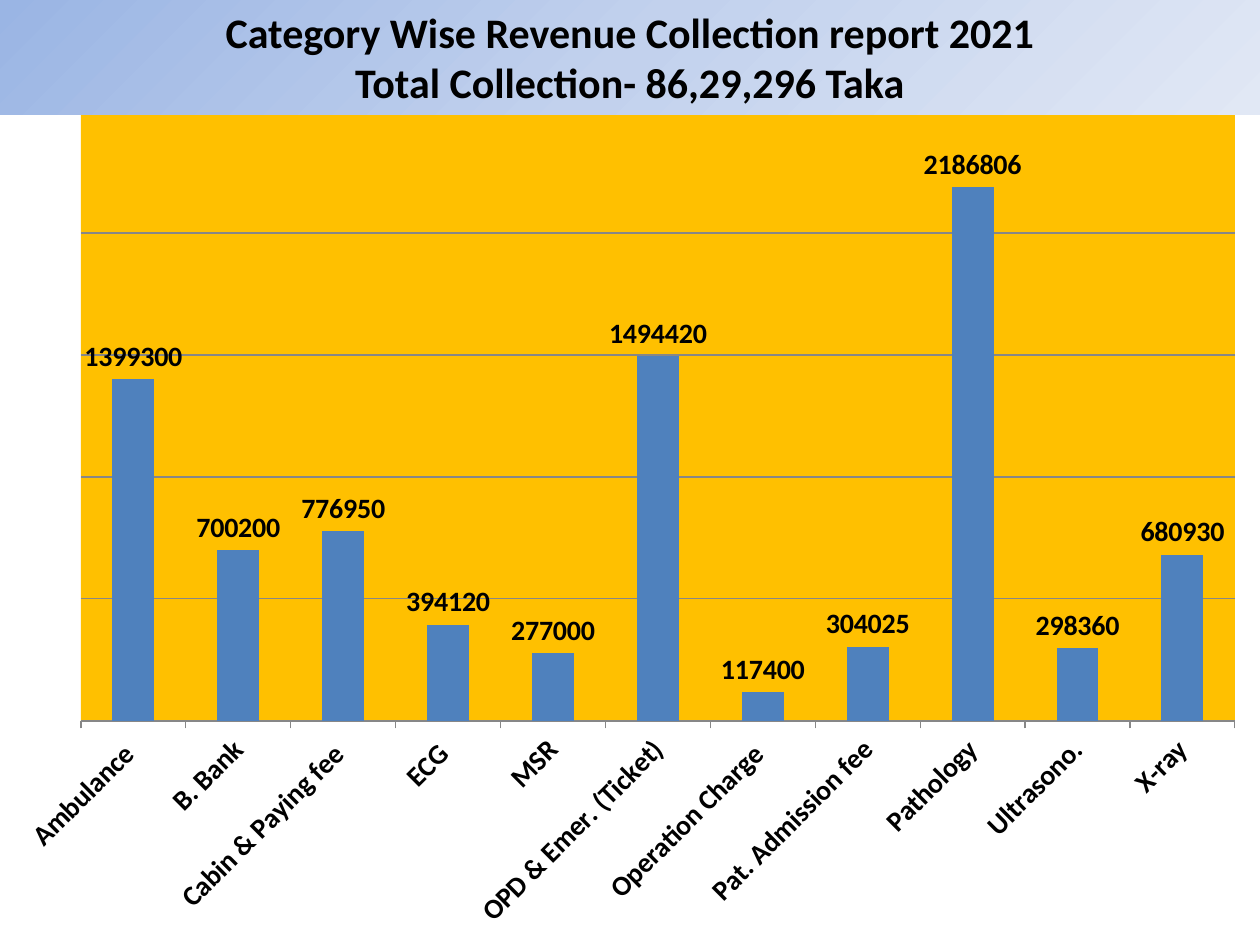
from copy import deepcopy
from typing import NamedTuple

from lxml import etree
from pptx import Presentation
from pptx.chart.data import CategoryChartData
from pptx.dml.color import RGBColor
from pptx.enum.chart import XL_CHART_TYPE, XL_LABEL_POSITION, XL_TICK_LABEL_POSITION, XL_TICK_MARK
from pptx.enum.shapes import MSO_SHAPE
from pptx.enum.text import MSO_ANCHOR, PP_ALIGN
from pptx.oxml.ns import qn
from pptx.util import Emu, Pt

COLUMN = XL_CHART_TYPE.COLUMN_CLUSTERED
OUTSIDE = XL_LABEL_POSITION.OUTSIDE_END
BESIDE = XL_TICK_LABEL_POSITION.NEXT_TO_AXIS
TICK = XL_TICK_MARK.OUTSIDE
RECT = MSO_SHAPE.RECTANGLE
MIDDLE = MSO_ANCHOR.MIDDLE
CENTER = PP_ALIGN.CENTER

FONT = "Calibri"
COLORS = {"text": "000000", "bar": "4F81BD", "plot": "FFC000", "line": "878787"}


class Box(NamedTuple):
    left: int
    top: int
    width: int
    height: int


class Fee(NamedTuple):
    name: str
    taka: int


class Stop(NamedTuple):
    percent: int
    color: str


SLIDE = Box(0, 0, 1260, 945)
BANNER = Box(0, 0, 1260, 115)
CHART = Box(0, 94, 1260, 851)
PLOT = Box(81, 111, 1154, 610)

TITLE = ["Category Wise Revenue Collection report 2021",
         "Total Collection- 86,29,296 Taka"]
STOPS = [Stop(0, "9AB5E4"), Stop(50, "C2D1ED"), Stop(100, "E1E8F5")]
FEES = [
    Fee("Ambulance ", 1399300),
    Fee("B. Bank", 700200),
    Fee("Cabin & Paying fee ", 776950),
    Fee("ECG ", 394120),
    Fee("MSR", 277000),
    Fee("OPD & Emer. (Ticket)", 1494420),
    Fee("Operation Charge ", 117400),
    Fee("Pat. Admission fee", 304025),
    Fee("Pathology", 2186806),
    Fee("Ultrasono.", 298360),
    Fee("X-ray", 680930),
]


def px(count: int) -> Emu:
    return Emu(round(count * 914400 / 126))


def place(box: Box) -> list[Emu]:
    return [px(side) for side in box]


def paint(fill, key: str) -> None:
    fill.solid()
    fill.fore_color.rgb = RGBColor.from_string(COLORS[key])


def style(font, size: int, bold: bool = True) -> None:
    font.name, font.size, font.bold = FONT, Pt(size), bold
    paint(font.fill, "text")


def rule(line) -> None:
    paint(line.fill, "line")
    line.width = Pt(0.75)


def set_plot(chart, plot: Box, frame: Box) -> None:
    """Fix the inner plot area and give it a fill."""
    area = chart._chartSpace.chart.plotArea
    for old in area.findall(qn("c:layout")):
        area.remove(old)
    layout = etree.Element(qn("c:layout"))
    area.insert(0, layout)
    manual = etree.SubElement(layout, qn("c:manualLayout"))
    parts = {
        "layoutTarget": "inner", "xMode": "edge", "yMode": "edge",
        "x": (plot.left - frame.left) / frame.width,
        "y": (plot.top - frame.top) / frame.height,
        "w": plot.width / frame.width,
        "h": plot.height / frame.height,
    }
    for tag, value in parts.items():
        text = value if isinstance(value, str) else f"{value:.4f}"
        etree.SubElement(manual, qn(f"c:{tag}"), val=text)
    props = etree.SubElement(area, qn("c:spPr"))
    solid = etree.SubElement(props, qn("a:solidFill"))
    etree.SubElement(solid, qn("a:srgbClr"), val=COLORS["plot"])


def add_chart(slide, fees: list[Fee]) -> None:
    data = CategoryChartData()
    data.categories = [fee.name for fee in fees]
    data.add_series("Series 1", [fee.taka for fee in fees])
    chart = slide.shapes.add_chart(COLUMN, *place(CHART), data).chart
    chart.has_legend = chart.has_title = False
    style(chart.font, 10, False)
    set_plot(chart, PLOT, CHART)

    # Bars and their values
    plot = chart.plots[0]
    plot.gap_width, plot.vary_by_categories = 150, False
    paint(plot.series[0].format.fill, "bar")
    plot.has_data_labels = True
    labels = plot.data_labels
    labels.show_value, labels.position = True, OUTSIDE
    style(labels.font, 16)

    # Axes
    base = chart.category_axis
    base.major_tick_mark, base.tick_label_position = TICK, BESIDE
    style(base.tick_labels.font, 16)
    base._element.txPr.bodyPr.set("rot", "-2700000")
    rule(base.format.line)
    scale = chart.value_axis
    scale.visible = False
    scale.minimum_scale, scale.maximum_scale, scale.major_unit = 0, 2500000, 500000
    scale.has_major_gridlines = True
    rule(scale.major_gridlines.format.line)


def shade(shape, stops: list[Stop]) -> None:
    shape.fill.gradient()
    shape.fill.gradient_angle = 315
    group = shape._element.spPr.find(f".//{qn('a:gsLst')}")
    group.insert(1, deepcopy(group[0]))
    for stop, spec in zip(shape.fill.gradient_stops, stops):
        stop.position = spec.percent / 100
        stop.color.rgb = RGBColor.from_string(spec.color)


def add_banner(slide, lines: list[str]) -> None:
    banner = slide.shapes.add_shape(RECT, *place(BANNER))
    banner.shadow.inherit = False
    banner.line.fill.background()
    shade(banner, STOPS)
    frame = banner.text_frame
    frame.word_wrap, frame.vertical_anchor = True, MIDDLE
    frame.margin_top, frame.margin_bottom = px(5), px(7)
    frame.text = "\n".join(lines)
    for line in frame.paragraphs:
        line.alignment = CENTER
        for run in line.runs:
            style(run.font, 24)


def main() -> None:
    deck = Presentation()
    deck.slide_width, deck.slide_height = px(SLIDE.width), px(SLIDE.height)
    slide = deck.slides.add_slide(deck.slide_layouts[6])
    add_chart(slide, FEES)
    add_banner(slide, TITLE)
    deck.save("out.pptx")


if __name__ == "__main__":
    main()
